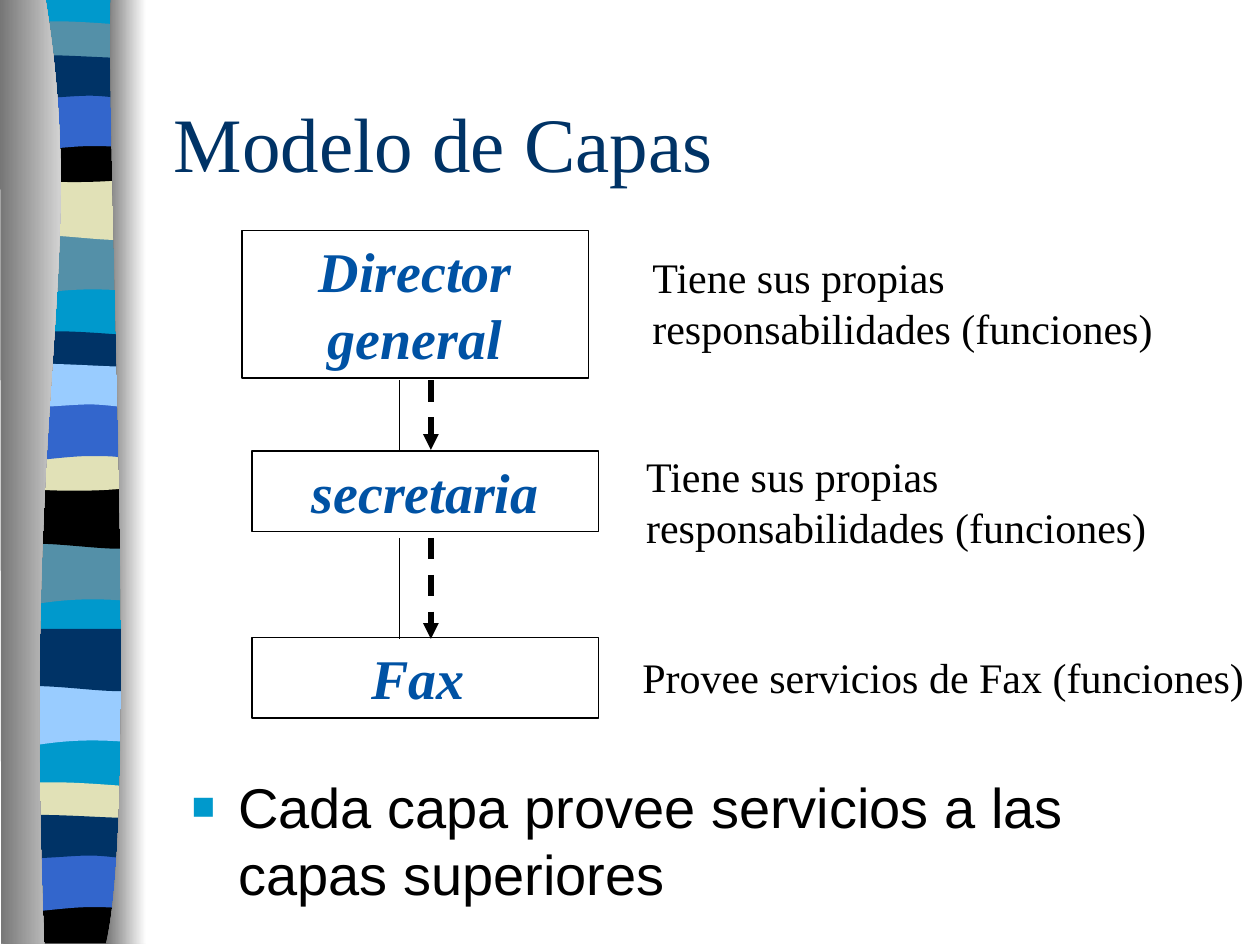
from lxml.etree import SubElement
from pptx import Presentation
from pptx.dml.color import RGBColor
from pptx.enum.dml import MSO_LINE
from pptx.enum.shapes import MSO_CONNECTOR, MSO_SHAPE
from pptx.enum.text import MSO_ANCHOR, MSO_AUTO_SIZE, PP_ALIGN
from pptx.oxml.ns import qn
from pptx.util import Inches, Pt

COLORS = {
    "black": "000000", "navy": "003366", "label": "0052A4", "cyan": "0099CC",
    "teal": "5490A8", "sand": "E1E1B7", "blue": "3366CC", "sky": "99CCFF",
    "gray": "767676", "white": "FFFFFF",
}
COLORS = {name: RGBColor.from_string(value) for name, value in COLORS.items()}


def write(shape, lines, size=24, font="Times New Roman", color="black", bold=False,
          italic=False, align=PP_ALIGN.LEFT, anchor=MSO_ANCHOR.TOP, wrap=True):
    frame = shape.text_frame
    frame.text = "\n".join(lines)
    frame.auto_size = MSO_AUTO_SIZE.NONE
    frame.word_wrap = wrap
    frame.vertical_anchor = anchor
    for para in frame.paragraphs:
        para.alignment = align
        para.space_before = Pt(0)
        for span in para.runs:
            span.font.size = Pt(size)
            span.font.name = font
            span.font.bold = bold
            span.font.italic = italic
            span.font.color.rgb = COLORS[color]


def draw_outline(group, steps, top=0):
    """Draw a closed outline; a step is a point (x, y) or a curve of three points."""
    points = []
    for step in steps:
        points.extend([step] if len(step) == 2 else step)
    corners = [(Inches(x), Inches(y + top)) for x, y in points]
    builder = group.shapes.build_freeform(*corners[0], scale=1.0)
    builder.add_line_segments(corners[1:], close=True)
    shape = builder.convert_to_shape()
    shape.shadow.inherit = False
    shape.line.fill.background()
    # Join the three segments of each curve into one Bézier segment
    segments = iter(list(next(shape._element.iter(qn("a:path")))))
    for step in steps:
        segment = next(segments)
        if len(step) == 3:
            segment.tag = qn("a:cubicBezTo")
            for extra in (next(segments), next(segments)):
                segment.append(extra[0])
                extra.getparent().remove(extra)
    return shape


deck = Presentation()
deck.slide_width, deck.slide_height = Inches(10), Inches(7.5)
page = deck.slides.add_slide(deck.slide_layouts[1])
page.background.fill.solid()
page.background.fill.fore_color.rgb = COLORS["white"]

# Ribbon at the left: six wave outlines, repeated in three sets of stripes
ribbon = page.shapes.add_group_shape()
WAVES = {
    "sag": [(1.13, 0), (1.13, 0.47), ((0.39, 0.39), (0.23, 0.55), (0.05, 0.47)), (0.05, 0)],
    "swell": [(1.13, 0), (1.13, 0.47), ((0.95, 0.55), (0.39, 0.41), (0.05, 0.47)), (0.05, 0)],
    "lens": [(1.13, 0.05), (1.13, 0.29), ((0.95, 0.33), (0.23, 0.33), (0.05, 0.29)),
             (0.05, 0.05), ((0.12, 0), (0.29, 0.01), (0.47, 0.01)),
             ((0.65, 0.01), (1, 0.04), (1.13, 0.05))],
    "dip": [(1.13, 0), (1.13, 0.32), ((0.95, 0.38), (0.23, 0.38), (0.05, 0.32)),
            (0.05, 0), ((0.72, 0.05), (0.91, 0), (1.13, 0))],
    "foot": [(1.13, 0), (1.13, 0.37), (0.06, 0.37), (0.05, 0),
             ((0.71, 0.05), (0.9, 0), (1.13, 0))],
    "arch": [(1.13, 0), (1.13, 0.47), ((0.96, 0.42), (0.89, 0.42), (0.71, 0.42)),
             ((0.53, 0.42), (0.21, 0.47), (0.05, 0.47)), (0.05, 0)],
    "bulge": [(1.13, 0.05), (1.13, 0.35), ((1.06, 0.4), (0.89, 0.35), (0.71, 0.35)),
              ((0.53, 0.35), (0.16, 0.4), (0.05, 0.35)), (0.05, 0.05),
              ((0.2, 0), (0.78, 0.05), (0.96, 0.05)),
              ((1.14, 0.05), (1.09, 0.05), (1.13, 0.05))],
}
STRIPE_SETS = [
    {"sag": (1.85, "teal"), "swell": (1.41, "sand"), "lens": (0.16, "teal"),
     "dip": (1.08, "black"), "arch": (0.74, "blue"), "bulge": (0.41, "navy")},
    {"sag": (4.31, "teal"), "swell": (3.86, "black"), "lens": (2.62, "navy"),
     "dip": (3.53, "sand"), "arch": (3.2, "blue"), "bulge": (2.86, "sky")},
    {"sag": (5.43, "sky"), "swell": (4.99, "navy"), "lens": (6.2, "sand"),
     "foot": (7.12, "black"), "arch": (6.78, "blue"), "bulge": (6.44, "navy")},
]
base = draw_outline(ribbon, [(1.13, -0.01), (1.13, 7.47), (0.05, 7.47), (0.05, -0.01)])
base.fill.solid()
base.fill.fore_color.rgb = COLORS["cyan"]
for stripe_set in STRIPE_SETS:
    for wave, (top, color) in stripe_set.items():
        stripe = draw_outline(ribbon, WAVES[wave], top)
        stripe.fill.solid()
        stripe.fill.fore_color.rgb = COLORS[color]

# Shaded edges that trim the ribbon
EDGES = [
    [(0.36, -0.01), ((0.71, 2.16), (0.17, 2.96), (0.35, 7.49)), (0.01, 7.49), (0, -0.01)],
    [(0.88, -0.01), ((0.84, 1.25), (1.11, 6.46), (0.84, 7.49)), (1.16, 7.49), (1.16, 0)],
]
for steps in EDGES:
    edge = draw_outline(ribbon, steps)
    edge.fill.gradient()
    edge.fill.gradient_angle = 0
    for stop, color in zip(edge.fill.gradient_stops, ("gray", "white")):
        stop.color.rgb = COLORS[color]

# The ribbon belongs to the slide master, behind everything else
deck.slide_master.shapes._spTree.insert(2, ribbon._element)

# Title
title = page.shapes.title
title.left, title.top, title.width, title.height = map(Inches, (1.28, 0.5, 8.5, 1.25))
write(title, ["Modelo de Capas"], size=44, color="navy", anchor=MSO_ANCHOR.MIDDLE)

# Bulleted conclusion
body = page.placeholders[1]
body.left, body.top, body.width, body.height = map(Inches, (1.42, 6.08, 8.08, 1.33))
write(body, ["Cada capa provee servicios a las capas superiores"], size=32, font="Arial")
bullet = body.text_frame.paragraphs[0]._p.get_or_add_pPr()
bullet.set("marL", str(Inches(0.37)))
bullet.set("indent", str(-Inches(0.37)))
bullet_color = SubElement(bullet, qn("a:buClr"))
SubElement(bullet_color, qn("a:srgbClr"), val=str(COLORS["cyan"]))
SubElement(bullet, qn("a:buSzPct"), val="70000")
SubElement(bullet, qn("a:buFont"), typeface="Arial")
SubElement(bullet, qn("a:buChar"), char="■")

# Layer boxes
LAYERS = [("Director general", 1.92, 1.83, 1.17), ("secretaria", 2, 3.58, 0.64),
          ("Fax ", 2, 5.06, 0.64)]
for name, left, top, height in LAYERS:
    box = page.shapes.add_shape(MSO_SHAPE.RECTANGLE, Inches(left), Inches(top),
                                Inches(2.75), Inches(height))
    box.shadow.inherit = False
    box.fill.background()
    box.line.color.rgb = COLORS["black"]
    box.line.width = Pt(0.75)
    write(box, [name], size=32, color="label", bold=True, italic=True,
          align=PP_ALIGN.CENTER)

# Thin lines and dashed arrows between the layers
for x, width, dashed in ((3.17, 0.75, False), (3.42, 3, True)):
    for start, end in ((3.02, 3.57), (4.27, 5.07)):
        link = page.shapes.add_connector(MSO_CONNECTOR.STRAIGHT, Inches(x), Inches(start),
                                         Inches(x), Inches(end))
        link.line.color.rgb = COLORS["black"]
        link.line.width = Pt(width)
        if dashed:
            link.line.dash_style = MSO_LINE.DASH
            SubElement(link.line._get_or_add_ln(), qn("a:tailEnd"), type="triangle")
        SubElement(link._element.spPr, qn("a:effectLst"))

# What each layer does
DUTIES = ["Tiene sus propias", "responsabilidades (funciones)"]
NOTES = [(DUTIES, 5.08, 1.95, 4.17, 0.9), (DUTIES, 5.03, 3.53, 4.17, 0.9),
         (["Provee servicios de Fax (funciones)"], 5, 5.12, 4.97, 0.5)]
for lines, *frame in NOTES:
    write(page.shapes.add_textbox(*map(Inches, frame)), lines, wrap=False)

deck.save("out.pptx")
